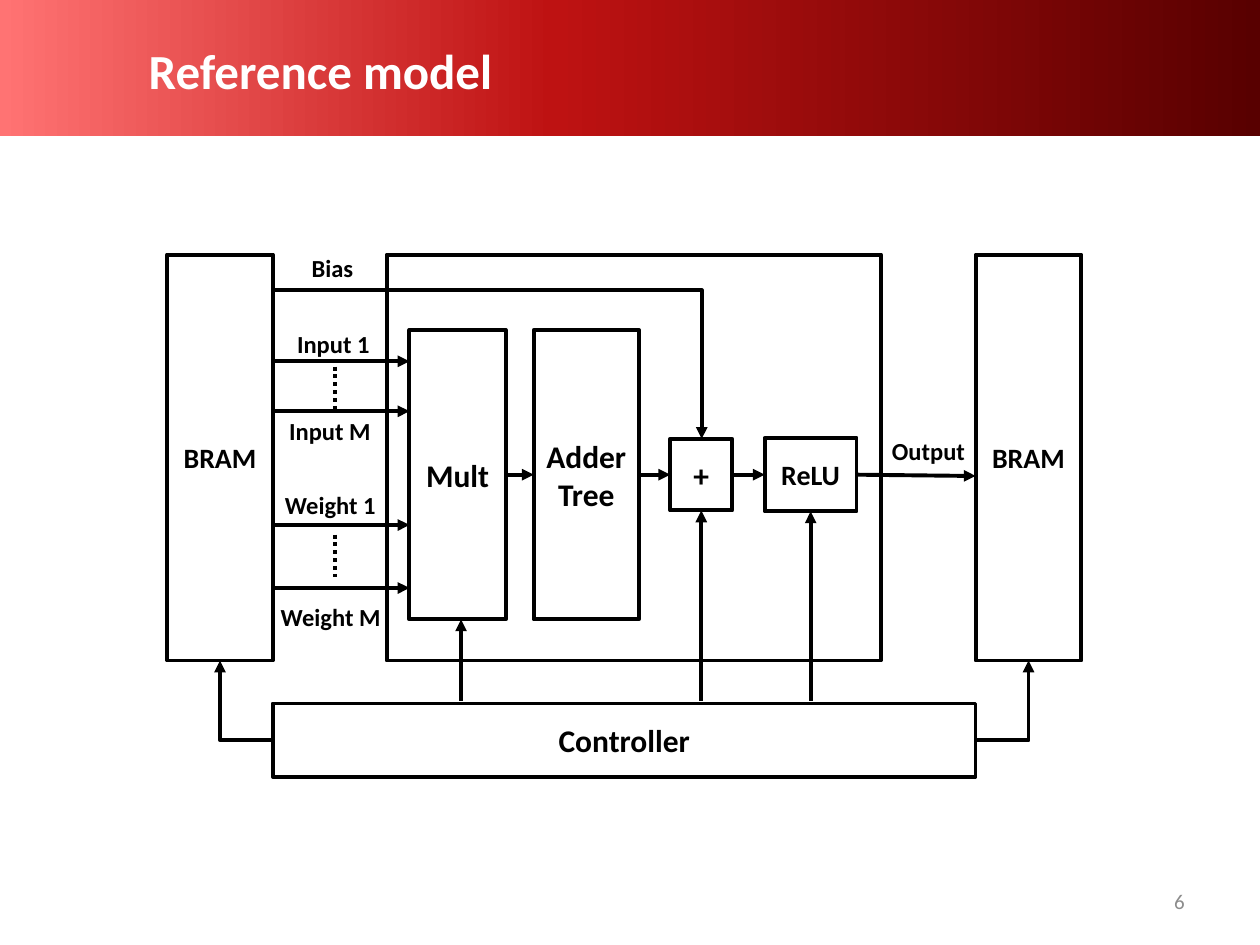
"""Builds the reference model slide: a block diagram of a multiply-add datapath."""
from copy import deepcopy

from pptx import Presentation
from pptx.dml.color import RGBColor
from pptx.enum.dml import MSO_LINE
from pptx.enum.shapes import MSO_CONNECTOR, MSO_SHAPE
from pptx.enum.text import MSO_ANCHOR, PP_ALIGN
from pptx.oxml.ns import qn
from pptx.util import Pt
from lxml import etree

RECT = MSO_SHAPE.RECTANGLE
STRAIGHT, ELBOW = MSO_CONNECTOR.STRAIGHT, MSO_CONNECTOR.ELBOW
LEFT, CENTER, RIGHT = PP_ALIGN.LEFT, PP_ALIGN.CENTER, PP_ALIGN.RIGHT
MIDDLE, DOTTED = MSO_ANCHOR.MIDDLE, MSO_LINE.ROUND_DOT
TOP_SIDE, LEFT_SIDE, BOTTOM_SIDE, RIGHT_SIDE = range(4)
FONT, BLACK, WHITE, GRAY = "Calibri", "000000", "FFFFFF", "8C8C8C"

BANNER_STOPS = [(0, "FF7373"), (0.44, "BE1212"), (1, "580000")]
BRAM_L, BRAM_R, BRAM_W = 95.5, 557.5, 60.5
TOP, TALL = 145.5, 232
BUS_X, MULT_X = BRAM_L + BRAM_W, 234
MID_Y, CTRL_Y, CTRL_H = 271.25, 402, 42

BOXES = {
    "core": ("", 0, 221, TOP, 282.5, TALL),
    "mult": ("Mult", 18, MULT_X, 188.5, 55, 165.5),
    "adder": ("Adder Tree", 18, 305, 188.5, 60, 165.5),
    "plus": ("+", 18, 383, 250.75, 35.5, 41),
    "relu": ("ReLU", 16, 437, 250.25, 52.5, 42),
    "source": ("BRAM", 16, BRAM_L, TOP, BRAM_W, TALL),
    "sink": ("BRAM", 16, BRAM_R, TOP, BRAM_W, TALL),
    "controller": ("Controller", 18, BUS_X, CTRL_Y, BRAM_R - BUS_X, CTRL_H),
}
LABELS = [
    ("Bias", 165, 140.5, 50), ("Input 1", 159, 184, 63),
    ("Input M", 157, 234, 63), ("Weight 1", 153.5, 276, 70.5),
    ("Weight M", 149, 340, 80), ("Output", 500.5, 245.5, 60),
]
BUS_YS = [206.5, 235, 300, 336]
DOTS = [(191.5, 209.5, 234), (191.5, 305.5, 330)]
STAGES = ["mult", "adder", "plus", "relu"]
CONTROLS = ["plus", "relu"]
ELBOWS = [
    (BUS_X, 166, 401, 250.75),
    (BRAM_R, CTRL_Y + CTRL_H / 2, BRAM_R + BRAM_W / 2, TOP + TALL),
    (BUS_X, CTRL_Y + CTRL_H / 2, BRAM_L + BRAM_W / 2, TOP + TALL),
]


def rgb(value):
    return RGBColor.from_string(value)


def write(sp, text, size, color=BLACK, align=CENTER, bold=True):
    tf = sp.text_frame
    tf.word_wrap = True
    tf.margin_left = tf.margin_right = 0
    tf.vertical_anchor = MIDDLE
    p = tf.paragraphs[0]
    p.alignment = align
    r = p.add_run()
    r.text = text
    r.font.name, r.font.size, r.font.bold = FONT, Pt(size), bold
    r.font.color.rgb = rgb(color)


def add_text(s, text, x, y, w, h, size, **style):
    write(s.shapes.add_textbox(Pt(x), Pt(y), Pt(w), Pt(h)), text, size, **style)


def add_banner(s):
    sp = s.shapes.add_shape(RECT, 0, 0, Pt(720), Pt(78))
    sp.shadow.inherit = False
    sp.line.fill.background()
    sp.fill.gradient()
    sp.fill.gradient_angle = 0
    stops = sp._element.spPr.find(".//" + qn("a:gsLst"))
    stops.append(deepcopy(stops[0]))
    for stop, (position, color) in zip(sp.fill.gradient_stops, BANNER_STOPS):
        stop.position = position
        stop.color.rgb = rgb(color)


def add_box(s, text, size, x, y, w, h):
    sp = s.shapes.add_shape(RECT, Pt(x), Pt(y), Pt(w), Pt(h))
    sp.shadow.inherit = False
    sp.fill.solid()
    sp.fill.fore_color.rgb = rgb(WHITE)
    sp.line.color.rgb = rgb(BLACK)
    sp.line.width = Pt(2.25)
    if text:
        write(sp, text, size)
    return sp


def add_line(s, x1, y1, x2, y2, kind=STRAIGHT, arrow=True):
    cxn = s.shapes.add_connector(kind, Pt(x1), Pt(y1), Pt(x2), Pt(y2))
    cxn.line.color.rgb = rgb(BLACK)
    cxn.line.width = Pt(2.25)
    spPr = cxn._element.spPr
    if kind == ELBOW:
        spPr.find(qn("a:prstGeom")).set("prst", "bentConnector2")
    if arrow:
        etree.SubElement(spPr.find(qn("a:ln")), qn("a:tailEnd"), type="triangle")
    else:
        cxn.line.dash_style = DOTTED
    etree.SubElement(spPr, qn("a:effectLst"))
    return cxn


def main():
    prs = Presentation()
    prs.slide_width, prs.slide_height = Pt(720), Pt(540)
    s = prs.slides.add_slide(prs.slide_layouts[6])

    add_banner(s)
    add_text(s, "Reference model", 85, 12, 592, 56, 28, color=WHITE, align=LEFT)
    add_text(s, "6", 516, 500.5, 161, 28.5, 12, color=GRAY, align=RIGHT, bold=False)

    boxes = {name: add_box(s, *box) for name, box in BOXES.items()}
    for y in BUS_YS:
        add_line(s, BUS_X, y, MULT_X, y)
    for x, y1, y2 in DOTS:
        add_line(s, x, y1, x, y2, arrow=False)
    for start, end in zip(STAGES, STAGES[1:]):
        cxn = add_line(s, 0, MID_Y, 1, MID_Y)
        cxn.begin_connect(boxes[start], RIGHT_SIDE)
        cxn.end_connect(boxes[end], LEFT_SIDE)
    output = add_line(s, 489.5, MID_Y, BRAM_R, 272)
    output.begin_connect(boxes["relu"], RIGHT_SIDE)
    add_line(s, 263.5, CTRL_Y - 1.5, 263.5, 354)
    for name in CONTROLS:
        _, _, x, y, w, h = BOXES[name]
        cxn = add_line(s, x + w / 2, CTRL_Y - 1.5, x + w / 2, y + h)
        cxn.end_connect(boxes[name], BOTTOM_SIDE)
    for ends in ELBOWS:
        add_line(s, *ends, kind=ELBOW)
    for text, x, y, w in LABELS:
        add_text(s, text, x, y, w, 24.5, 14)

    prs.save("out.pptx")


if __name__ == "__main__":
    main()
